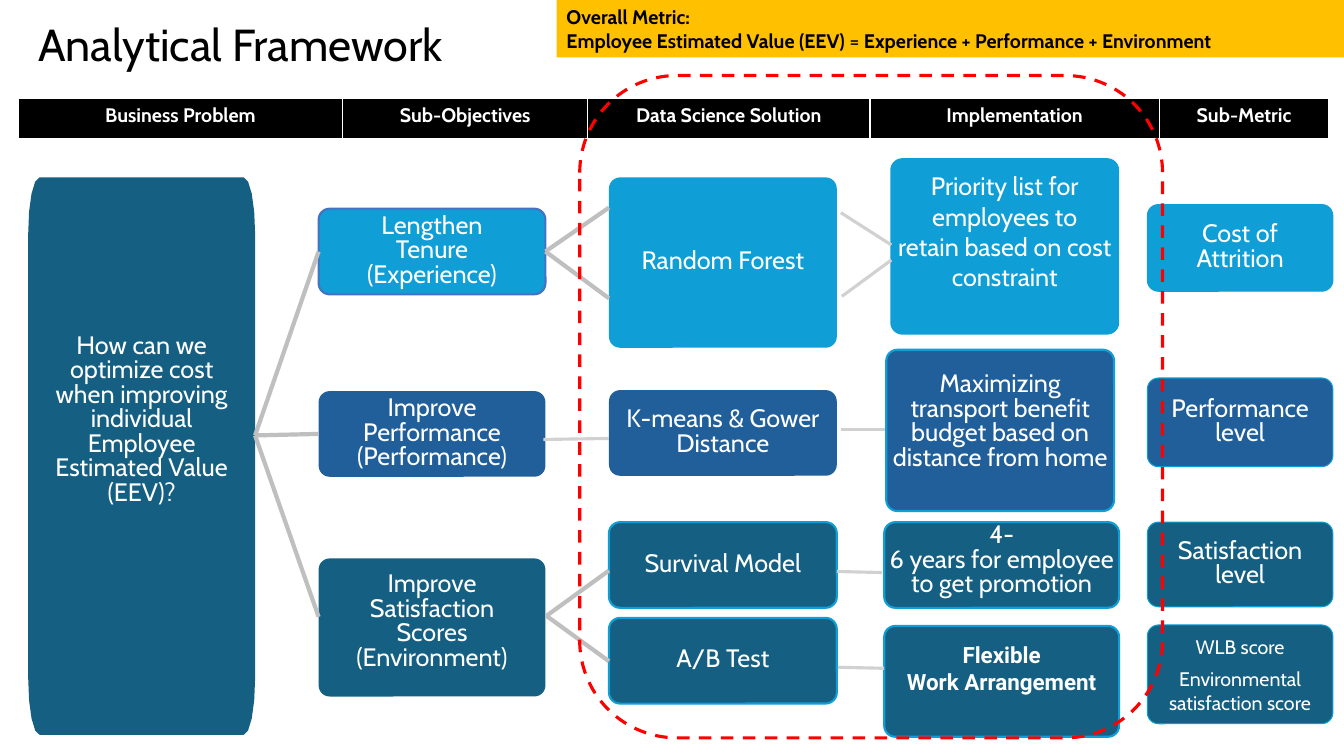
from math import cos, pi, sin

from lxml.etree import SubElement
from pptx import Presentation
from pptx.dml.color import RGBColor
from pptx.enum.dml import MSO_LINE_DASH_STYLE as Dash
from pptx.enum.shapes import MSO_CONNECTOR as Connector, MSO_SHAPE as Shape
from pptx.enum.text import MSO_ANCHOR as Anchor, PP_ALIGN as Align
from pptx.oxml.ns import qn
from pptx.util import Inches, Pt

COLORS = {
    "sky": "0F9ED5", "blue": "215F9A", "teal": "156082", "outline": "4472C4",
    "branch": "BFBFBF", "link": "D1D1D1", "gold": "FFC000", "red": "FF0000",
    "white": "FFFFFF", "black": "000000",
}


def color(name):
    return RGBColor.from_string(COLORS[name])


def elliptical_box(left, top, width, height):
    """Add a box whose corners span 5% of its width and 10% of its height."""
    radius_x, radius_y, steps = 0.05 * width, 0.1 * height, 4
    points = []
    for corner, (side_x, side_y) in enumerate([(1, 1), (0, 1), (0, 0), (1, 0)]):
        center_x = left + (width - radius_x if side_x else radius_x)
        center_y = top + (height - radius_y if side_y else radius_y)
        for step in range(steps + 1):
            angle = (corner + step / steps) * pi / 2
            points.append((Inches(center_x + radius_x * cos(angle)),
                           Inches(center_y + radius_y * sin(angle))))
    builder = slide.shapes.build_freeform(*points[0])
    builder.add_line_segments(points[1:], close=True)
    return builder.convert_to_shape()


presentation = Presentation()
presentation.slide_width, presentation.slide_height = Inches(13.33), Inches(7.5)
slide = presentation.slides.add_slide(presentation.slide_layouts[6])

# Title
title = slide.shapes.add_textbox(Inches(0.28), Inches(0.12), Inches(4.9), Inches(0.64))
title.text_frame.word_wrap = True
paragraph = title.text_frame.paragraphs[0]
paragraph.text = "Analytical Framework"
paragraph.font.size, paragraph.font.name = Pt(32), "Cabin"
paragraph.font.color.rgb = color("black")

# Boxes: each column has left, width, side inset and border weight
columns = {
    "problem": (0.28, 2.25, 0.18, 1.5),
    "objective": (3.16, 2.25, 0.24, 1.5),
    "solution": (6.04, 2.26, 0.02, 1.5),
    "list": (8.84, 2.25, 0.01, 1.5),
    "budget": (8.79, 2.26, 0.02, 1.5),
    "action": (8.77, 2.33, 0.01, 1.5),
    "metric": (11.38, 1.84, 0.15, 0.75),
}
cabin, small, roboto = ("Cabin", 18, 17.5), ("Cabin", 14, 17.5), ("Roboto", 16, None)
loose = ("Cabin", 18, None)
# column, top, height, fill, border, lift of the text, type style, paragraphs
boxes = [
    ("problem", 1.76, 5.53, "teal", None, 0.35, cabin,
     ["How can we optimize cost when improving individual Employee Estimated Value (EEV)?"]),
    ("objective", 2.07, 0.85, "sky", "outline", 0, cabin,
     ["Lengthen Tenure", "(Experience)"]),
    ("objective", 3.88, 0.85, "blue", None, 0, cabin,
     ["Improve Performance", "(Performance)"]),
    ("objective", 5.54, 1.37, "teal", None, 0.05, cabin,
     ["Improve Satisfaction Scores", "(Environment)"]),
    ("solution", 1.76, 1.69, "sky", None, 0, cabin, ["Random Forest"]),
    ("solution", 3.87, 0.85, "blue", None, 0, cabin, ["K-means & Gower Distance"]),
    ("solution", 5.18, 0.85, "teal", "sky", 0, cabin, ["Survival Model"]),
    ("solution", 6.13, 0.85, "teal", "sky", 0, cabin, ["A/B Test"]),
    ("list", 1.58, 1.73, "sky", "sky", 0.15, loose,
     ["Priority list for employees to\vretain based on cost constraint"]),
    ("budget", 3.47, 1.6, "blue", "sky", 0.08, cabin,
     ["Maximizing transport benefit budget based on distance from home"]),
    ("action", 5.18, 0.85, "teal", "sky", 0.04, cabin,
     ["4-\v6 years for employee\vto get promotion"]),
    ("action", 6.21, 1.1, "teal", "sky", 0.13, roboto, ["Flexible\vWork Arrangement"]),
    ("metric", 2.03, 0.86, "sky", "sky", 0, cabin, ["Cost of Attrition"]),
    ("metric", 3.75, 0.88, "blue", "sky", 0, cabin, ["Performance level"]),
    ("metric", 5.18, 0.84, "teal", "sky", 0, cabin, ["Satisfaction level"]),
    ("metric", 6.2, 0.98, "teal", "sky", 0, small,
     ["WLB score", "Environmental satisfaction score"]),
]
box_by_text = {}
for column, top, height, fill, border, lift, style, texts in boxes:
    left, width, inset, weight = columns[column]
    if column == "problem":
        box = elliptical_box(left, top, width, height)
    else:
        box = slide.shapes.add_shape(
            Shape.ROUNDED_RECTANGLE, Inches(left), Inches(top), Inches(width), Inches(height))
        box.adjustments[0] = 0.11 / min(width, height)
    box_by_text[texts[0]] = box
    box.shadow.inherit = False
    box.fill.solid()
    box.fill.fore_color.rgb = color(fill)
    if border:
        box.line.color.rgb = color(border)
        box.line.width = Pt(weight)
    else:
        box.line.fill.background()
    frame = box.text_frame
    frame.word_wrap, frame.vertical_anchor = True, Anchor.MIDDLE
    frame.margin_left = frame.margin_right = Inches(inset)
    frame.margin_top, frame.margin_bottom = Inches(0.05), Inches(0.05 + 2 * lift)
    font_name, font_size, line_height = style
    for index, text in enumerate(texts):
        paragraph = frame.add_paragraph() if index else frame.paragraphs[0]
        paragraph.text, paragraph.alignment = text, Align.CENTER
        if line_height:
            paragraph.line_spacing = Pt(line_height)
        if index and column == "metric":
            paragraph.space_before = Pt(5)
        paragraph.font.name, paragraph.font.size = font_name, Pt(font_size)
        paragraph.font.bold = font_name == "Roboto"
        paragraph.font.color.rgb = color("white")

# Connectors: color, weight, start, ends; a box stands for the middle of its side
tenure = box_by_text["Lengthen Tenure"]
performance = box_by_text["Improve Performance"]
connectors = [
    ("branch", 3, (2.53, 4.32), [tenure, performance, (3.16, 6.12)]),
    ("branch", 3, tenure, [(6.04, 2.06), (6.04, 2.96)]),
    ("branch", 3, (5.42, 6.11), [(6.04, 5.66), (6.04, 6.56)]),
    ("link", 2.25, (5.39, 4.36), [(6.04, 4.35)]),
    ("link", 2.25, (8.34, 2.11), [(8.84, 2.43)]),
    ("link", 2.25, (8.35, 2.94), [(8.84, 2.58)]),
    ("link", 2.25, (8.34, 4.26), [(8.78, 4.26)]),
    ("link", 2.25, (8.3, 5.67), [(8.75, 5.68)]),
    ("link", 2.25, (8.31, 6.62), [(8.77, 6.63)]),
]
for line_color, weight, start, ends in connectors:
    for end in ends:
        places = [point if isinstance(point, tuple) else (0, 0) for point in (start, end)]
        connector = slide.shapes.add_connector(
            Connector.STRAIGHT, *[Inches(value) for value in places[0] + places[1]])
        if not isinstance(start, tuple):
            connector.begin_connect(start, 3)
        if not isinstance(end, tuple):
            connector.end_connect(end, 1)
        connector.line.color.rgb = color(line_color)
        connector.line.width = Pt(weight)
        SubElement(connector._element.spPr, qn("a:effectLst"))

# Column headings
headings = {"Business Problem": 3.22, "Sub-Objectives": 2.43, "Data Science Solution": 2.8,
            "Implementation": 2.87, "Sub-Metric": 1.68}
table = slide.shapes.add_table(
    1, len(headings), Inches(0.18), Inches(0.98), Inches(13), Inches(0.41)).table
for index, (heading, width) in enumerate(headings.items()):
    table.columns[index].width = Inches(width)
    cell = table.cell(0, index)
    properties = cell._tc.get_or_add_tcPr()
    for side, weight in (("L", 1), ("R", 1), ("T", 1), ("B", 3)):
        edge = SubElement(properties, qn("a:ln" + side), w=str(Pt(weight)))
        SubElement(SubElement(edge, qn("a:solidFill")), qn("a:srgbClr"), val=COLORS["white"])
    cell.fill.solid()
    cell.fill.fore_color.rgb = color("black")
    paragraph = cell.text_frame.paragraphs[0]
    paragraph.text, paragraph.alignment = heading, Align.CENTER
    paragraph.font.name, paragraph.font.size, paragraph.font.bold = "Cabin", Pt(14), True
    paragraph.font.color.rgb = color("white")

# Overall metric banner
banner_left = Inches(5.52)
banner = slide.shapes.add_shape(
    Shape.RECTANGLE, banner_left, 0, presentation.slide_width - banner_left, Inches(0.57))
banner.shadow.inherit = False
banner.fill.solid()
banner.fill.fore_color.rgb = color("gold")
banner.line.fill.background()
banner.text_frame.word_wrap = True
banner.text_frame.vertical_anchor = Anchor.TOP
metric_lines = [
    [("Overall Metric:", True)],
    [("Employee Estimated Value (EEV)", True), (" =", False),
     (" Experience + Performance + Environment", True)],
]
for index, runs in enumerate(metric_lines):
    frame = banner.text_frame
    paragraph = frame.add_paragraph() if index else frame.paragraphs[0]
    paragraph.alignment = Align.LEFT
    paragraph.font.name, paragraph.font.size = "Cabin", Pt(14)
    paragraph.font.color.rgb = color("black")
    for text, bold in runs:
        run = paragraph.add_run()
        run.text, run.font.bold = text, bold

# Dashed frame around solution and implementation
focus = slide.shapes.add_shape(
    Shape.ROUNDED_RECTANGLE, Inches(5.75), Inches(0.75), Inches(5.78), Inches(6.57))
focus.shadow.inherit = False
focus.fill.background()
focus.line.color.rgb = color("red")
focus.line.width, focus.line.dash_style = Pt(2.25), Dash.DASH

presentation.save("out.pptx")
